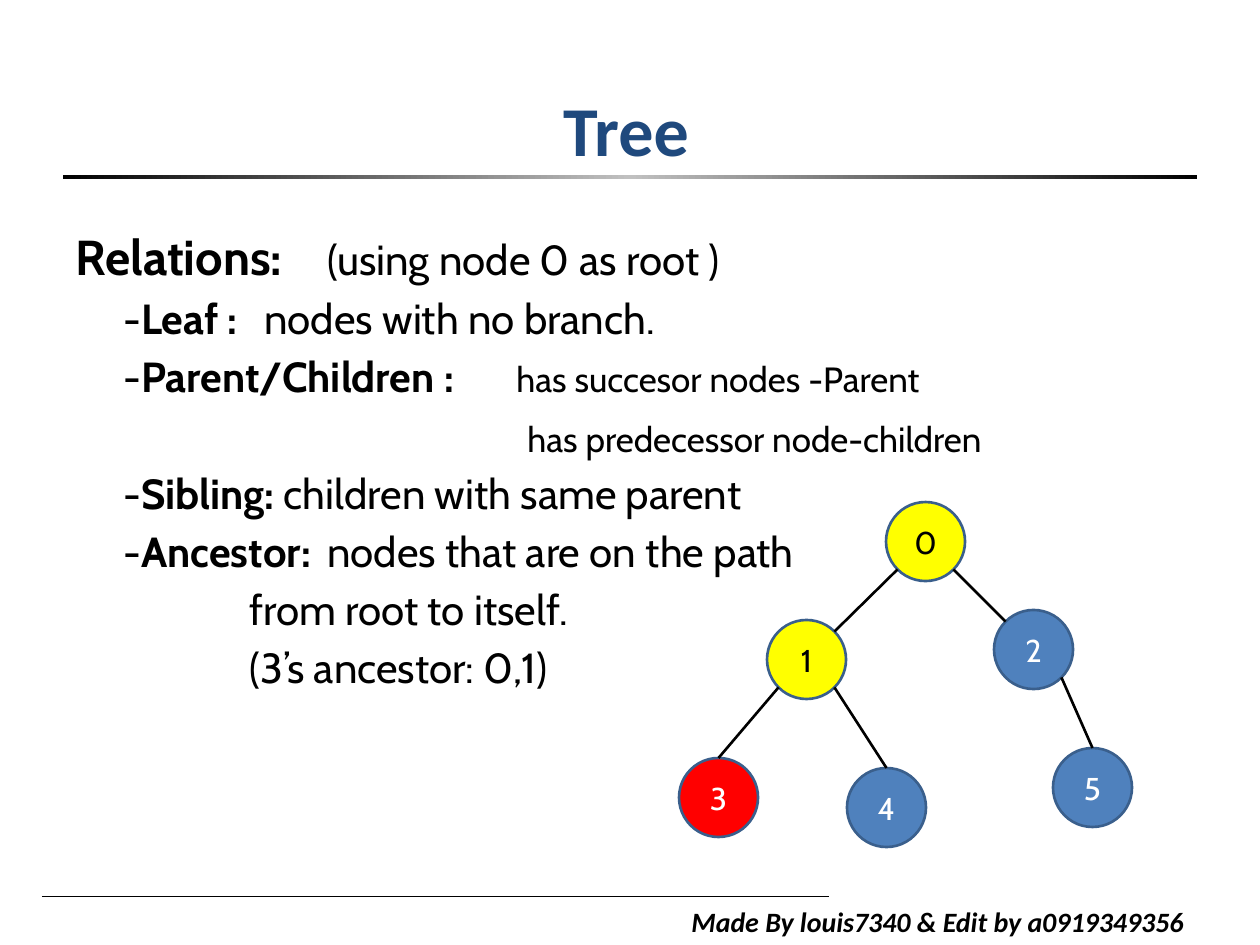
"""Build a slide on tree relations, with a sample binary tree."""
import copy
import math

import lxml.etree
import pptx
import pptx.dml.color
import pptx.enum.dml
import pptx.enum.shapes
import pptx.enum.text
import pptx.oxml.ns
import pptx.util

HUES = {"ink": "000000", "white": "FFFFFF", "title": "1F497D", "rim": "3A5F8C",
        "blue": "4F81BD", "yellow": "FFFF00", "red": "FF0000", "mid": "C0C0C0"}
SCALE = 914400 / 126
SIZE = 79
QN = pptx.oxml.ns.qn
ALIGN = pptx.enum.text.PP_ALIGN
ANCHOR = pptx.enum.text.MSO_ANCHOR
SHAPE = pptx.enum.shapes.MSO_SHAPE


def emu(px):
    """Turn pixels into EMU."""
    return pptx.util.Emu(round(px * SCALE))


def hue(name):
    """Look up a colour by name."""
    return pptx.dml.color.RGBColor.from_string(HUES[name])


def write(para, text, size=24, font="Cabin", color="ink", bold=False,
          italic=False, align=ALIGN.LEFT):
    """Add a formatted run to a paragraph."""
    para.alignment = align
    run = para.add_run()
    run.text = text
    run.font.size = pptx.util.Pt(size)
    run.font.name = font
    run.font.bold = bold
    run.font.italic = italic
    run.font.color.rgb = hue(color)


class Deck:
    """Hold the style and the current slide."""

    def __init__(self):
        """Start a deck with one title-only slide."""
        self.show = pptx.Presentation()
        self.show.slide_width, self.show.slide_height = emu(1260), emu(945)
        self.slide = self.show.slides.add_slide(self.show.slide_layouts[5])
        self.shapes = self.slide.shapes

    def title(self, text, *box):
        """Place and fill the title."""
        head = self.shapes.title
        head.left, head.top, head.width, head.height = map(emu, box)
        head.text_frame.auto_size = pptx.enum.text.MSO_AUTO_SIZE.NONE
        head.text_frame.vertical_anchor = ANCHOR.MIDDLE
        write(head.text_frame.paragraphs[0], text, size=40, font="Calibri",
              color="title", bold=True, align=ALIGN.CENTER)

    def box(self, *box):
        """Add an empty wrapping text box and return its frame."""
        frame = self.shapes.add_textbox(*map(emu, box)).text_frame
        frame.word_wrap = True
        return frame

    def notes(self, rows, *box):
        """Add the body, one row a paragraph with indent, tab and runs."""
        frame = self.box(*box)
        for i, (indent, tab, before, runs) in enumerate(rows):
            para = frame.add_paragraph() if i else frame.paragraphs[0]
            para.space_before = pptx.util.Pt(before)
            props = para._p.get_or_add_pPr()
            props.set("marL", "0")
            props.set("indent", str(emu(indent)))
            if tab:
                tabs = lxml.etree.SubElement(props, QN("a:tabLst"))
                lxml.etree.SubElement(tabs, QN("a:tab"), pos=str(emu(tab)), algn="l")
            for text, size, bold in runs:
                write(para, text, size=size, bold=bold)

    def bar(self, *box):
        """Add a rule that fades to grey in the middle."""
        bar = self.shapes.add_shape(SHAPE.RECTANGLE, *map(emu, box))
        bar.shadow.inherit = False
        bar.line.fill.background()
        bar.fill.gradient()
        bar.fill.gradient_angle = 0
        stops = bar._element.spPr.find(".//" + QN("a:gsLst"))
        stops.insert(1, copy.deepcopy(stops[0]))
        for stop, name, place in zip(bar.fill.gradient_stops,
                                     ("ink", "mid", "ink"), (0, 0.5, 1)):
            stop.color.rgb = hue(name)
            stop.position = place

    def node(self, text, left, top, fill, color):
        """Add a round tree node."""
        disc = self.shapes.add_shape(SHAPE.OVAL, *map(emu, (left, top, SIZE, SIZE)))
        disc.shadow.inherit = False
        disc.fill.solid()
        disc.fill.fore_color.rgb = hue(fill)
        disc.line.color.rgb = hue("rim")
        disc.line.width = pptx.util.Pt(1.5)
        disc.text_frame.vertical_anchor = ANCHOR.MIDDLE
        write(disc.text_frame.paragraphs[0], text, size=18, color=color,
              align=ALIGN.CENTER)

    def line(self, start, end, width=1.5):
        """Add a straight black line."""
        line = self.shapes.add_connector(
            pptx.enum.shapes.MSO_CONNECTOR.STRAIGHT, *map(emu, (*start, *end)))
        line.line.color.rgb = hue("ink")
        line.line.width = pptx.util.Pt(width)
        lxml.etree.SubElement(line._element.spPr, QN("a:effectLst"))


def port(left, top, angle):
    """Find the point on a node's rim at a clockwise angle from the right."""
    turn, half = math.radians(angle), SIZE / 2
    return left + half + half * math.cos(turn), top + half + half * math.sin(turn)


ROWS = [
    (0, 250, 4.4, [("Relations:\t", 28, True), ("(using node 0 as root )", 24, False)]),
    (48, 179, 4.4, [("-", 24, False), ("Leaf :\t", 24, True),
                    ("nodes with no branch.", 24, False)]),
    (48, 395, 4.4, [("-", 24, False), ("Parent/Children :\t", 24, True),
                    ("has succesor nodes -Parent", 20, False)]),
    (452, 0, 9.3, [("has predecessor node-children", 20, False)]),
    (48, 0, 4.4, [("-", 24, False), ("Sibling: ", 24, True),
                  ("children with same parent", 24, False)]),
    (48, 252, 4.4, [("-", 24, False), ("Ancestor:\t", 24, True),
                    ("nodes that are on the path", 24, False)]),
    (174, 0, 4.4, [("from root to itself.", 24, False)]),
    (174, 0, 4.4, [("(3’s ancestor: 0,1)", 24, False)]),
]
NODES = [(886, 502, "yellow", "ink"), (767, 620, "yellow", "ink"),
         (994, 610, "blue", "white"), (679, 758, "red", "white"),
         (847, 768, "blue", "white"), (1053, 748, "blue", "white")]
EDGES = [(0, 135, 1, 315), (1, 135, 3, 270), (0, 45, 2, 225),
         (1, 45, 4, 270), (2, 45, 5, 270)]


def main():
    """Draw the slide and save it."""
    deck = Deck()
    deck.line((42, 896), (829, 896), width=0.5)
    foot = deck.box(679, 898, 563, 46)
    write(foot.paragraphs[0], "Made By louis7340 & Edit by a0919349356", size=16,
          font="Calibri", bold=True, italic=True)
    deck.bar(63, 175, 1134, 4)
    deck.title("Tree", 59, 49, 1134, 158)
    deck.notes(ROWS, 63, 220, 1134, 636)
    for i, node in enumerate(NODES):
        deck.node(str(i), *node)
    for top, out, low, into in EDGES:
        deck.line(port(*NODES[top][:2], out), port(*NODES[low][:2], into))
    deck.show.save("out.pptx")


if __name__ == "__main__":
    main()
